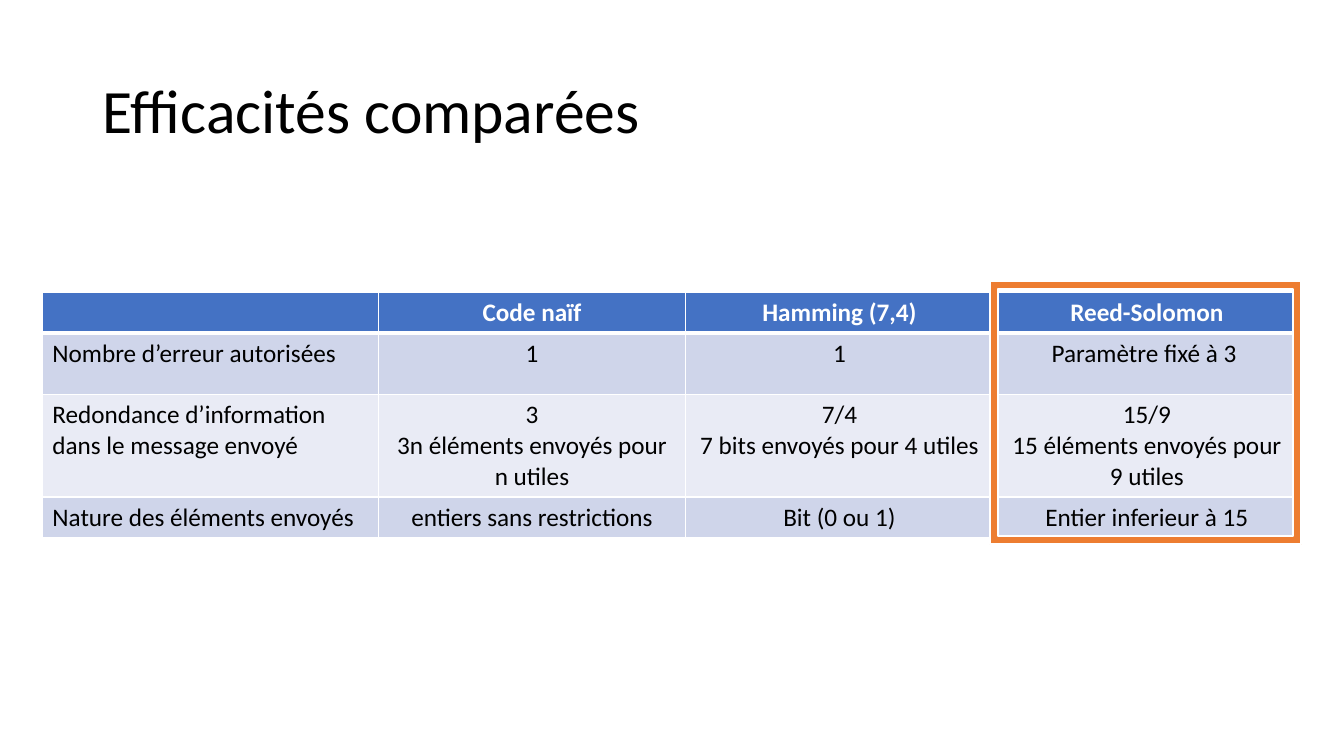
from dataclasses import dataclass

from lxml import etree
from pptx import Presentation, util as u
from pptx.dml.color import RGBColor
from pptx.enum import shapes, text
from pptx.oxml import ns


@dataclass(frozen=True)
class Theme:
    font: str = "Calibri"
    ink: str = "000000"
    paper: str = "FFFFFF"
    head: str = "4472C4"
    bands: tuple[str, str] = ("CFD5EA", "E9EBF5")
    mark: str = "ED7D31"
    big: int = 44
    body: int = 18


@dataclass(frozen=True)
class Box:
    """Place and size in columns and rows of the grid."""
    col: float
    row: float
    wide: float
    high: float

    def place(self) -> tuple[int, int, int, int]:
        return unit(self.col), unit(self.row), unit(self.wide), unit(self.high)


@dataclass(frozen=True)
class Line:
    """One table row: its height and the paragraphs of each cell."""
    high: float
    cells: tuple[tuple[str, ...], ...]


THEME = Theme()
COLS, ROWS = 160, 90  # grid of the whole slide, 12 units to the inch

TITLE = Box(11.04, 4.8, 138, 17.4)
TABLE = Box(5.04, 34.8, 149.88, 28.92)
FRAME = Box(117.84, 33.48, 37.08, 31.32)
WIDTHS = (40, 36.6, 36.6, 36.6)
LINES = (
    Line(4.2, ((), ("Code naïf",), ("Hamming (7,4)",), ("Reed-Solomon",))),
    Line(7.32, (("Nombre d’erreur autorisées",), ("1",), ("1",),
                ("Paramètre fixé à 3 ",))),
    Line(10.44, (("Redondance d’information dans le message envoyé",),
                 ("3", "3n éléments envoyés pour n utiles"),
                 ("7/4", "7 bits envoyés pour 4 utiles"),
                 ("15/9", "15 éléments envoyés pour 9 utiles"))),
    Line(4.2, (("Nature des éléments envoyés",),
               ("entiers sans restrictions",), ("Bit (0 ou 1)",),
               ("Entier inferieur à 15",))),
)


def unit(count: float) -> int:
    return u.Inches(count / 12)


def paint(fill, tone: str) -> None:
    fill.solid()
    fill.fore_color.rgb = RGBColor.from_string(tone)


def write(para, words: str, size: int, tone: str, bold: bool = False) -> None:
    run = para.add_run()
    run.text = words
    run.font.name = THEME.font
    run.font.size = u.Pt(size)
    run.font.bold = bold
    run.font.color.rgb = RGBColor.from_string(tone)


def edge(cell, top: int, base: int) -> None:
    """Draw the four borders, with widths in points."""
    props = cell._tc.get_or_add_tcPr()
    sides = (("L", 1), ("R", 1), ("T", top), ("B", base))
    for spot, (side, width) in enumerate(sides):
        line = etree.Element(ns.qn(f"a:ln{side}"), w=str(u.Pt(width)))
        fill = etree.SubElement(line, ns.qn("a:solidFill"))
        etree.SubElement(fill, ns.qn("a:srgbClr"), val=THEME.paper)
        props.insert(spot, line)


def add_title(slide) -> None:
    title = slide.shapes.title
    title.left, title.top, title.width, title.height = TITLE.place()
    frame = title.text_frame
    frame.auto_size = text.MSO_AUTO_SIZE.NONE
    frame.vertical_anchor = text.MSO_ANCHOR.MIDDLE
    para = frame.paragraphs[0]
    para.alignment = text.PP_ALIGN.LEFT
    para.line_spacing = 0.9
    write(para, "Efficacités comparées", THEME.big, THEME.ink)


def fill_cell(cell, words: tuple[str, ...], row: int, col: int) -> None:
    head = row == 0
    paint(cell.fill, THEME.head if head else THEME.bands[(row - 1) % 2])
    edge(cell, 3 if row == 1 else 1, 3 if head else 1)
    frame = cell.text_frame
    for spot, part in enumerate(words):
        para = frame.add_paragraph() if spot else frame.paragraphs[0]
        para.alignment = text.PP_ALIGN.CENTER if col else text.PP_ALIGN.LEFT
        write(para, part, THEME.body, THEME.paper if head else THEME.ink, head)


def add_grid(slide) -> None:
    holder = slide.shapes.add_table(len(LINES), len(WIDTHS), *TABLE.place())
    table = holder.table
    for column, width in zip(table.columns, WIDTHS):
        column.width = unit(width)
    for row, line in enumerate(LINES):
        table.rows[row].height = unit(line.high)
        for col, words in enumerate(line.cells):
            fill_cell(table.cell(row, col), words, row, col)
    holder.height = unit(TABLE.high)


def add_mark(slide) -> None:
    mark = slide.shapes.add_shape(shapes.MSO_SHAPE.FRAME, *FRAME.place())
    mark.adjustments[0] = 0.03
    mark.shadow.inherit = False
    paint(mark.fill, THEME.mark)
    paint(mark.line.fill, THEME.paper)
    mark.line.width = u.Pt(1.5)


def main() -> None:
    deck = Presentation()
    deck.slide_width, deck.slide_height = unit(COLS), unit(ROWS)
    slide = deck.slides.add_slide(deck.slide_layouts.get_by_name("Title Only"))
    paint(slide.background.fill, THEME.paper)

    # Heading
    add_title(slide)
    # Comparison of the three codes
    add_grid(slide)
    # Frame around the last column
    add_mark(slide)

    deck.save("out.pptx")


if __name__ == "__main__":
    main()
